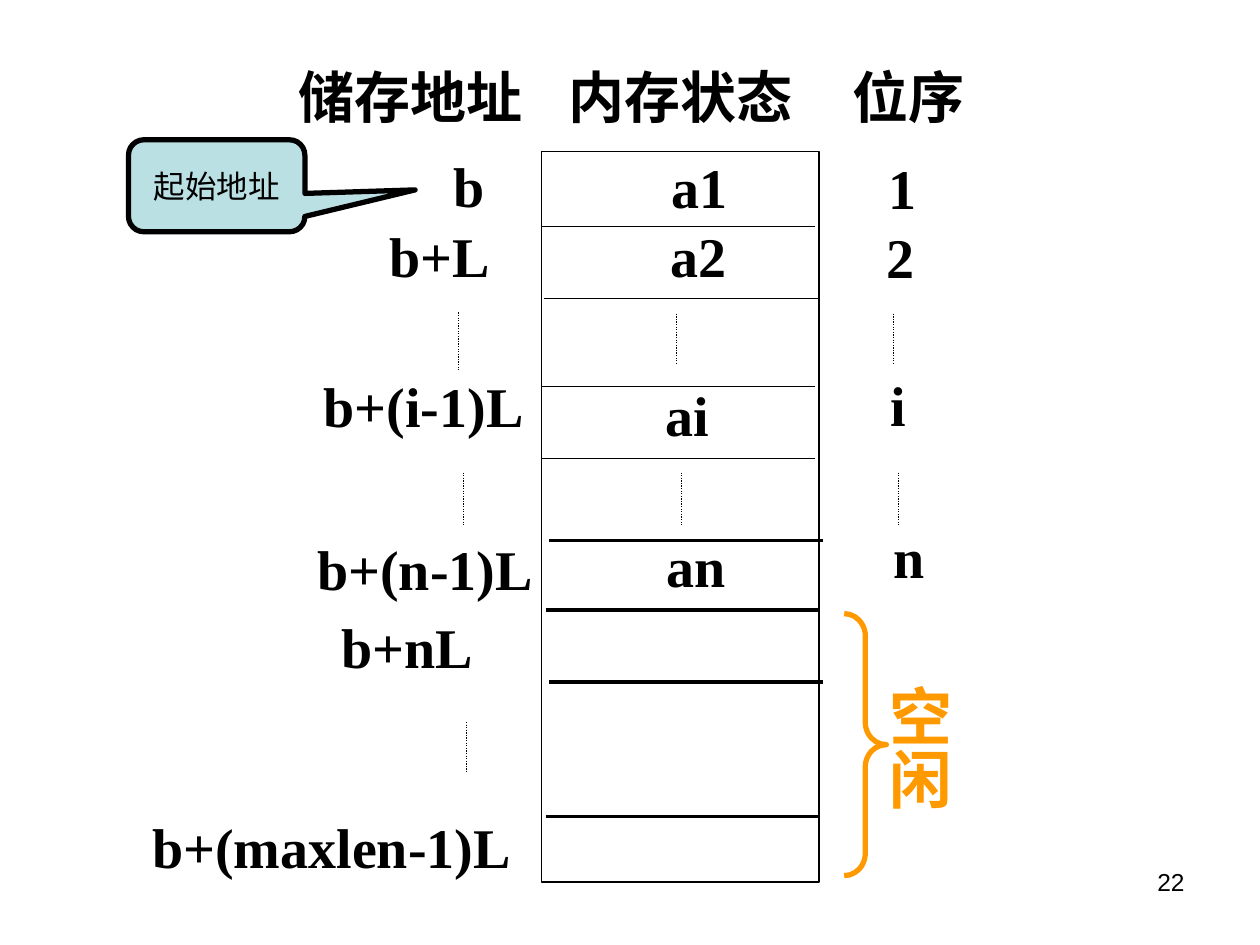
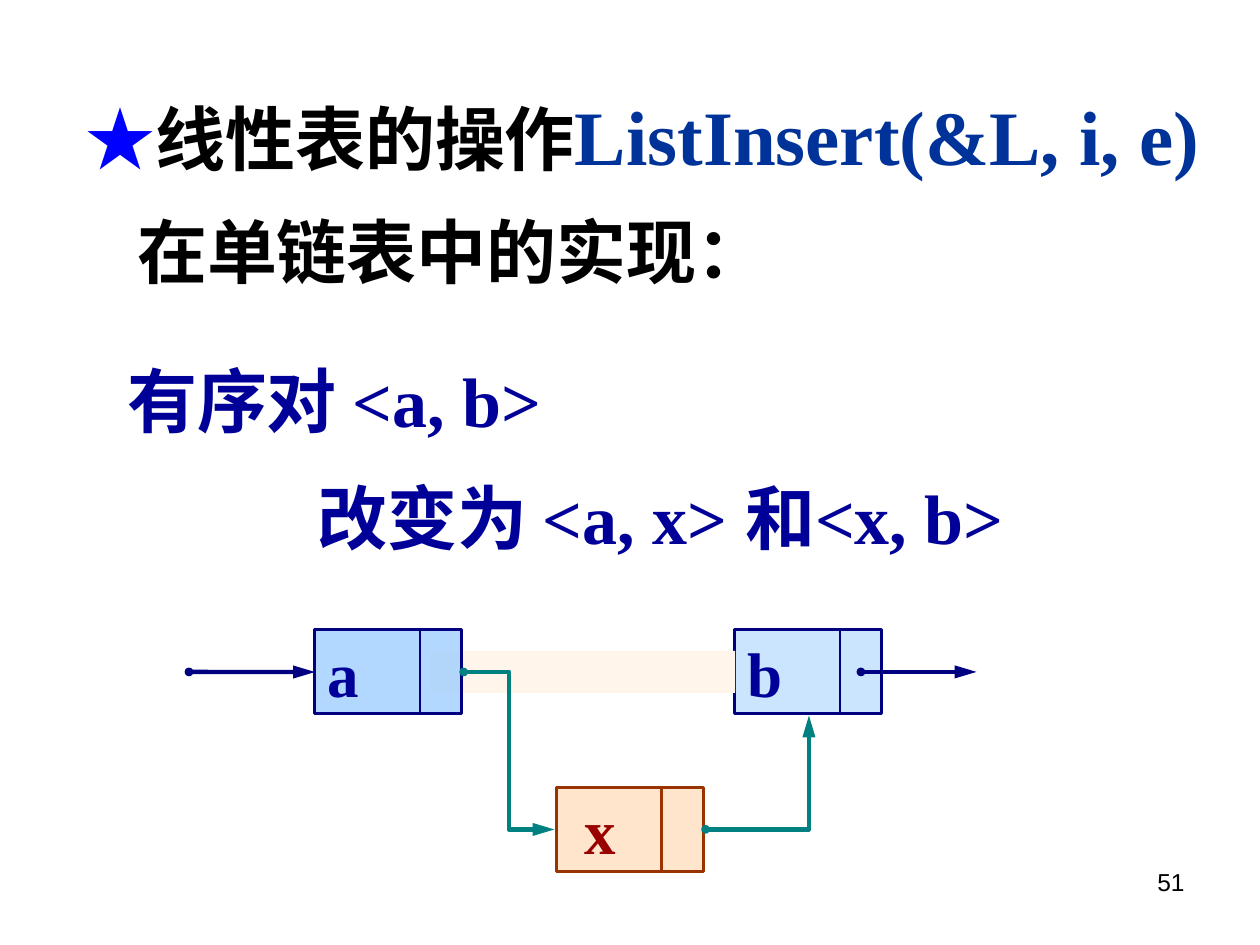
from dataclasses import dataclass

from lxml import etree
from pptx import Presentation
from pptx import util as u
from pptx.dml.color import RGBColor
from pptx.enum import dml, shapes, text
from pptx.oxml.ns import qn


@dataclass(frozen=True)
class Theme:
    """Colours, fonts and type sizes of the deck."""
    black: str = "000000"
    orange: str = "FF9900"
    pale_teal: str = "BBE0E3"
    navy: str = "000080"
    ink: str = "000099"
    title_blue: str = "003399"
    star: str = "0000FF"
    node_blue: str = "99CCFF"
    node_peach: str = "FFCC99"
    band: str = "FFF5EB"
    brown: str = "993300"
    dark_red: str = "990000"
    teal: str = "008080"
    serif: str = "Times New Roman"
    sans: str = "Arial"
    cjk: str = "Noto Sans CJK SC"
    number: int = 14
    note: int = 18
    label: int = 32
    node: int = 36
    body: int = 40
    title: int = 44
    leading: float = 1.2


class Deck:
    """Draws on the current slide over a grid of 100 columns and 75 rows."""

    def __init__(self, theme):
        self.t = theme
        self.prs = Presentation()
        self.prs.slide_width, self.prs.slide_height = u.Inches(10), u.Inches(7.5)

    def new_slide(self, number):
        """Start a blank slide with its number in the corner."""
        self.s = self.prs.slides.add_slide(self.prs.slide_layouts[6])
        self.label(str(number), 71.7, 68.3, 23.3, 5.2, size=self.t.number,
                   font=self.t.sans, bold=False, align=text.PP_ALIGN.RIGHT, right=1)

    def col(self, n):
        """Length of n columns."""
        return int(self.prs.slide_width * n / 100)

    def row(self, n):
        """Length of n rows."""
        return int(self.prs.slide_height * n / 75)

    def box(self, x, y, w, h):
        """Grid place as lengths."""
        return self.col(x), self.row(y), self.col(w), self.row(h)

    def run(self, p, words, size, color, font, bold=True):
        """Add one run of text."""
        r = p.add_run()
        r.text = words
        r.font.size, r.font.bold, r.font.name = u.Pt(size), bold, font
        r.font.color.rgb = RGBColor.from_string(color)
        etree.SubElement(r.font._element, qn("a:ea")).set("typeface", self.t.cjk)

    def frame(self, sp, left=1, right=1, anchor=text.MSO_ANCHOR.TOP):
        """Prepare a wrapping text frame."""
        tf = sp.text_frame
        tf.word_wrap, tf.vertical_anchor = True, anchor
        tf.margin_left, tf.margin_right = self.col(left), self.col(right)
        tf.margin_top = tf.margin_bottom = self.row(0.5)
        return tf

    def paragraph(self, p, runs, size, spacing=1.0, indent=0, align=text.PP_ALIGN.LEFT):
        """Fill a paragraph with runs on a fixed line pitch."""
        p.alignment = align
        p.line_spacing = u.Pt(round(size * self.t.leading * spacing, 1))
        p._p.get_or_add_pPr().set("marL", str(self.col(indent)))
        p._p.get_or_add_pPr().set("indent", "0")
        for r in runs:
            self.run(p, *r)

    def label(self, words, x, y, w, h=6.4, size=None, color=None, font=None,
              bold=True, align=text.PP_ALIGN.LEFT, right=0, vertical=False):
        """Add a one-line text box."""
        size = size or self.t.label
        sp = self.s.shapes.add_textbox(*self.box(x, y, w, h))
        tf = self.frame(sp, right=right)
        if vertical:
            tf._txBody.bodyPr.set("vert", "eaVert")
            tf.margin_left = tf.margin_right = self.col(0.5)
            tf.margin_top, tf.margin_bottom = self.row(1), 0
        run = (words, size, color or self.t.black, font or self.t.serif, bold)
        self.paragraph(tf.paragraphs[0], [run], size, align=align)

    def block(self, x, y, w, h, size, spacing, lines):
        """Add a text box of several paragraphs given as (indent, runs)."""
        tf = self.frame(self.s.shapes.add_textbox(*self.box(x, y, w, h)), right=0)
        for i, (indent, runs) in enumerate(lines):
            p = tf.add_paragraph() if i else tf.paragraphs[0]
            self.paragraph(p, runs, size, spacing, indent)
        return tf

    def bullet(self, p, char, color):
        """Give a paragraph a coloured bullet."""
        pPr = p._p.get_or_add_pPr()
        clr = etree.SubElement(pPr, qn("a:buClr"))
        etree.SubElement(clr, qn("a:srgbClr")).set("val", color)
        etree.SubElement(pPr, qn("a:buFont")).set("typeface", self.t.cjk)
        etree.SubElement(pPr, qn("a:buChar")).set("char", char)

    def shape(self, kind, x, y, w, h, fill=None, line=None, width=0.75, alpha=None, adj=()):
        """Add a preset shape."""
        sp = self.s.shapes.add_shape(kind, *self.box(x, y, w, h))
        sp.shadow.inherit = False
        for i, a in enumerate(adj):
            sp.adjustments[i] = a
        if fill:
            sp.fill.solid()
            sp.fill.fore_color.rgb = RGBColor.from_string(fill)
        else:
            sp.fill.background()
        if alpha:
            clr = sp._element.spPr.find(qn("a:solidFill"))[0]
            etree.SubElement(clr, qn("a:alpha")).set("val", str(alpha * 1000))
        if line:
            sp.line.color.rgb = RGBColor.from_string(line)
            sp.line.width = u.Pt(width)
        else:
            sp.line.fill.background()
        return sp

    def line(self, x1, y1, x2, y2, color=None, width=0.75, dotted=False,
             kind=shapes.MSO_CONNECTOR.STRAIGHT):
        """Add a connector."""
        c = self.s.shapes.add_connector(kind, self.col(x1), self.row(y1),
                                        self.col(x2), self.row(y2))
        c.line.color.rgb = RGBColor.from_string(color or self.t.black)
        c.line.width = u.Pt(width)
        if dotted:
            c.line.dash_style = dml.MSO_LINE.ROUND_DOT
        etree.SubElement(c._element.spPr, qn("a:effectLst"))
        return c

    def arrow(self, x1, y1, x2, y2, color, preset="line"):
        """Add a connector with a dot at its start and a head at its end."""
        bent = preset != "line"
        kind = shapes.MSO_CONNECTOR.ELBOW if bent else shapes.MSO_CONNECTOR.STRAIGHT
        c = self.line(x1, y1, x2, y2, color, 2.5, kind=kind)
        if bent:
            c._element.spPr.find(qn("a:prstGeom")).set("prst", preset)
        ln = c.line._get_or_add_ln()
        for tag, end, w, size in (("a:headEnd", "oval", "sm", "sm"),
                                  ("a:tailEnd", "triangle", "med", "lg")):
            e = etree.SubElement(ln, qn(tag))
            for key, value in (("type", end), ("w", w), ("len", size)):
                e.set(key, value)
        return c

    def node(self, name, x, y, fill, line, ink, width=1.75, divider=0.75, alpha=50, left=1):
        """Add a list node with a data cell and a pointer cell."""
        sp = self.shape(shapes.MSO_SHAPE.RECTANGLE, x, y, 11.67, 6.67, fill, line, width, alpha)
        tf = self.frame(sp, left=left, anchor=text.MSO_ANCHOR.MIDDLE)
        self.paragraph(tf.paragraphs[0], [(name, self.t.node, ink, self.t.serif)], self.t.node)
        self.line(x + 8.33, y, x + 8.33, y + 6.67, line, divider)
        return sp


def memory_slide(d):
    """Storage addresses beside the memory cells they name."""
    t = d.t
    d.new_slide(22)
    for words, x, w in (("储存地址", 22.7, 19.8), ("内存状态", 44.1, 19.8), ("位序", 66.7, 10.9)):
        d.label(words, x, 4.5, w)
    for words, x, y, w in (
            ("b", 35, 11.5, 4.5), ("b+L", 29.9, 17.1, 10), ("b+(i-1)L", 24.7, 29, 17.9),
            ("b+(n-1)L", 24.2, 41.9, 19.1), ("b+nL", 26.1, 48.1, 12.4),
            ("b+(maxlen-1)L", 11.1, 64, 30.5),
            ("a1", 52.3, 11.6, 6.4), ("a2", 52.2, 17.1, 6.4), ("ai", 51.8, 29.7, 5.4),
            ("an", 51.9, 41.7, 6.7),
            ("1", 69.5, 11.7, 4.2), ("2", 69.4, 17.2, 4.2), ("i", 69.7, 28.9, 3.2),
            ("n", 69.9, 41, 4.5)):
        d.label(words, x, y, w)
    d.shape(shapes.MSO_SHAPE.RECTANGLE, 43, 12, 22, 58, line=t.black)
    for x, y, width in ((43, 18, 0.75), (43.2, 23.7, 0.75), (43, 30.7, 0.75), (43, 36.4, 0.75),
                        (43.6, 42.9, 2.25), (43.3, 48.4, 2.25), (43.6, 54.1, 2.25),
                        (43.3, 64.8, 2.25)):
        d.line(x, y, x + 21.7, y, width=width)
    for x, y, h in ((36.4, 24.8, 4.6), (53.7, 24.9, 4), (70.9, 24.9, 3.9), (36.8, 37.5, 4.1),
                    (54.1, 37.5, 4.1), (71.3, 37.5, 4.1), (37, 57.3, 4)):
        d.line(x, y, x, y + h, dotted=True)
    d.shape(shapes.MSO_SHAPE.RIGHT_BRACE, 67, 48.7, 3.35, 20.8,
            line=t.orange, width=3, adj=(0.53, 0.5))
    d.label("空闲", 62.4, 53.4, 14, 13, size=t.node, color=t.orange, vertical=True)
    sp = d.shape(shapes.MSO_SHAPE.ROUNDED_RECTANGULAR_CALLOUT, 10.2, 11.1, 14, 7.3,
                 t.pale_teal, t.black, 3, adj=(1.125, 0.045, 0.167))
    tf = d.frame(sp, anchor=text.MSO_ANCHOR.MIDDLE)
    d.paragraph(tf.paragraphs[0], [("起始地址", t.note, t.black, t.sans, False)], t.note,
                align=text.PP_ALIGN.CENTER)


def insert_slide(d):
    """Insertion of node x between nodes a and b."""
    t = d.t
    d.new_slide(51)
    tf = d.block(5.8, 5.1, 94.2, 18.6, t.title, 1.2, (
        (0, [("线性表的操作", t.body, t.black, t.cjk),
             ("ListInsert(&L, i, e)", t.title, t.title_blue, t.serif)]),
        (4.1, [("在单链表中的实现：", t.body, t.black, t.serif)])))
    d.bullet(tf.paragraphs[0], "★", t.star)
    d.block(7.9, 25.2, 79.2, 26.4, t.body, 1.4, (
        (1.2, [("有序对 <a, b>", t.body, t.ink, t.serif)]),
        (16.3, [("改变为 <a, x> 和<x, b>", t.body, t.ink, t.serif)])))
    top, middle, low = 50, 53.33, 65.83
    d.node("x", 44.17, 62.5, t.node_peach, t.brown, t.dark_red, 2, 2, left=2.25)
    d.node("b", 58.33, top, t.node_blue, t.navy, t.ink)
    d.arrow(68.33, middle, 77.5, middle, t.navy)
    d.shape(shapes.MSO_SHAPE.RECTANGLE, 34.17, 51.67, 24.17, 3.33, t.band)
    a = d.node("a", 25, top, t.node_blue, t.navy, t.ink, alpha=75)
    d.arrow(15, middle, 25, middle, t.navy).end_connect(a, 1)
    d.arrow(36.8, middle, 44, low, t.teal, "bentConnector3")
    d.arrow(56, low, 64.2, 56.8, t.teal, "bentConnector2")


def main():
    """Build and save the deck."""
    d = Deck(Theme())
    memory_slide(d)
    insert_slide(d)
    d.prs.save("out.pptx")


if __name__ == "__main__":
    main()
